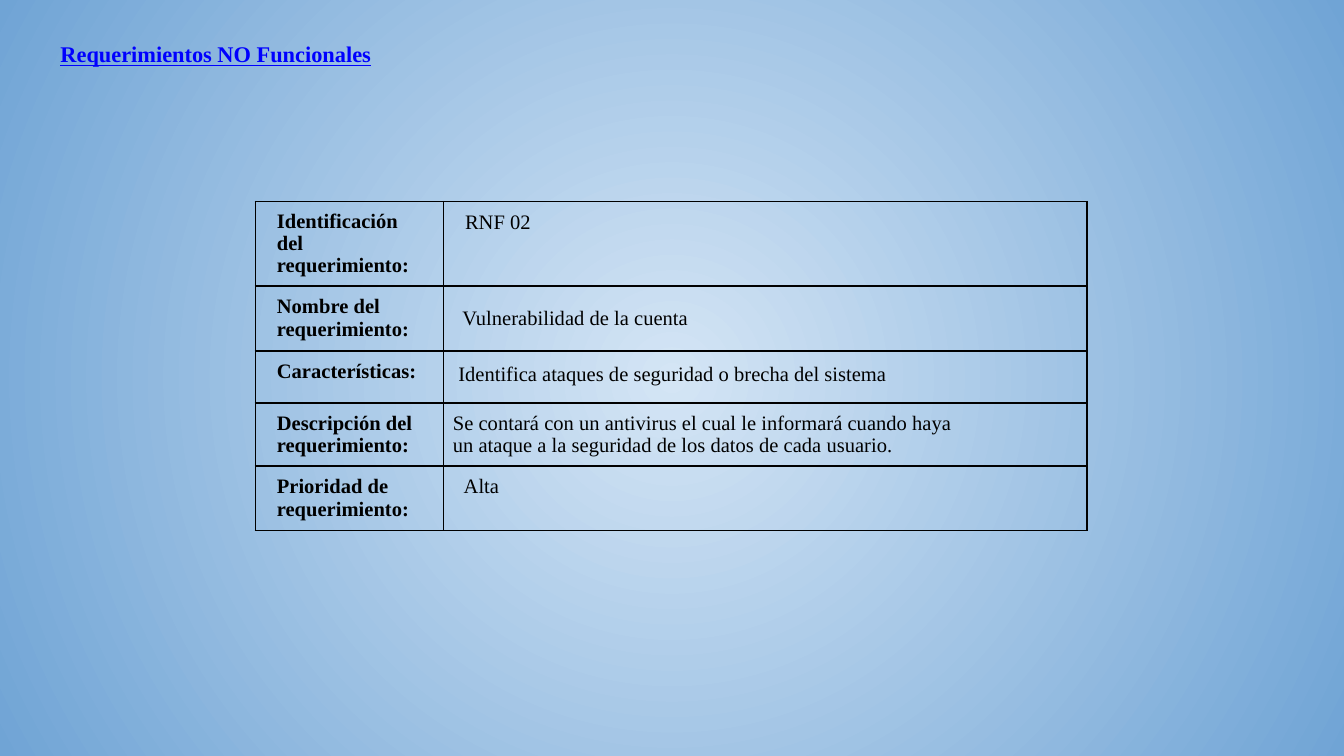
import pptx
import pptx.dml.color
import pptx.enum.text
import pptx.oxml
import pptx.oxml.ns
import pptx.util
from pptx.util import Inches

COLORS = {"center": "D4E5F5", "edge": "70A4D5", "title": "0000FF", "ink": "000000"}
FONT = "Times New Roman"
TOP = pptx.enum.text.MSO_ANCHOR.TOP
MIDDLE = pptx.enum.text.MSO_ANCHOR.MIDDLE
PADDING = 0.07
COLUMN_WIDTHS = [1.4, 4.79]

# Least row height, then label and value as (text, indent, line spacing, anchor, extra right margin)
REQUIREMENT = [
    (0.6, ("Identificación del\nrequerimiento:", 0.09, 0.96, TOP, 0.1),
     ("RNF 02", 0.09, 1, TOP, 0)),
    (0.39, ("Nombre del\nrequerimiento:", 0.09, 1, TOP, 0),
     ("Vulnerabilidad de la cuenta", 0.07, 1, MIDDLE, 0)),
    (0.39, ("Características:", 0.09, 1, TOP, 0),
     ("Identifica ataques de seguridad o brecha del sistema", 0.04, 1.15, TOP, 0)),
    (0.39, ("Descripción del requerimiento:", 0.09, 0.96, TOP, 0),
     ("Se contará con un antivirus el cual le informará cuando haya "
      "un ataque a la seguridad de los datos de cada usuario.", 0, 0.96, MIDDLE, 0.85)),
    (0.39, ("Prioridad de\nrequerimiento:", 0.09, 1, TOP, 0),
     ("Alta", 0.08, 1, TOP, 0)),
]


def parse_drawing(xml):
    """Parse a DrawingML fragment whose root has room for a namespace."""
    root, rest = xml.split(" ", 1)
    return pptx.oxml.parse_xml(f"{root} {pptx.oxml.ns.nsdecls('a')} {rest}")


def paint_background(slide):
    """Radial gradient, light in the middle of the slide."""
    slide.background.fill.solid()
    solid = slide.background.fill._xPr.find(pptx.oxml.ns.qn("a:solidFill"))
    gradient = parse_drawing(
        '<a:gradFill rotWithShape="1"><a:gsLst>'
        f'<a:gs pos="0"><a:srgbClr val="{COLORS["center"]}"/></a:gs>'
        f'<a:gs pos="100000"><a:srgbClr val="{COLORS["edge"]}"/></a:gs></a:gsLst>'
        '<a:path path="circle"><a:fillToRect l="50000" t="50000" r="50000" b="50000"/>'
        '</a:path></a:gradFill>')
    solid.getparent().replace(solid, gradient)


def format_runs(paragraph, size, color, bold, underline=False):
    for run in paragraph.runs:
        run.font.name = FONT
        run.font.size = pptx.util.Pt(size)
        run.font.bold = bold
        run.font.underline = underline
        run.font.color.rgb = pptx.dml.color.RGBColor.from_string(COLORS[color])


def place_title(slide, left, top, width, height):
    title = slide.shapes.title
    title.left, title.top = Inches(left), Inches(top)
    title.width, title.height = Inches(width), Inches(height)
    frame = title.text_frame
    frame.text = "Requerimientos NO Funcionales"
    frame.vertical_anchor = TOP
    frame.auto_size = pptx.enum.text.MSO_AUTO_SIZE.NONE
    frame.margin_left = frame.margin_right = Inches(0.11)
    frame.margin_top = frame.margin_bottom = Inches(0.1)
    frame.paragraphs[0].alignment = pptx.enum.text.PP_ALIGN.LEFT
    format_runs(frame.paragraphs[0], 12, "title", bold=True, underline=True)


def draw_borders(cell):
    properties = cell._tc.get_or_add_tcPr()
    for position, side in enumerate(("lnL", "lnR", "lnT", "lnB")):
        properties.insert(position, parse_drawing(
            f'<a:{side} w="12700"><a:solidFill><a:srgbClr val="{COLORS["ink"]}"/>'
            f'</a:solidFill><a:prstDash val="solid"/></a:{side}>'))


def fill_cell(cell, content, bold):
    text, indent, spacing, anchor, extra_right = content
    cell.fill.background()
    draw_borders(cell)
    cell.vertical_anchor = anchor
    cell.margin_left = Inches(PADDING + indent)
    cell.margin_right = Inches(PADDING + extra_right)
    cell.margin_top = cell.margin_bottom = Inches(PADDING)
    cell.text_frame.text = text
    for paragraph in cell.text_frame.paragraphs:
        paragraph.line_spacing = float(spacing)
        format_runs(paragraph, 11, "ink", bold)


def place_requirement(slide, left, top):
    heights = [row[0] for row in REQUIREMENT]
    table = slide.shapes.add_table(
        len(REQUIREMENT), len(COLUMN_WIDTHS), Inches(left), Inches(top),
        Inches(sum(COLUMN_WIDTHS)), Inches(sum(heights))).table
    table.first_row = table.horz_banding = False
    for column, width in zip(table.columns, COLUMN_WIDTHS):
        column.width = Inches(width)
    for row, (height, label, value) in zip(table.rows, REQUIREMENT):
        row.height = Inches(height)
        fill_cell(row.cells[0], label, bold=True)
        fill_cell(row.cells[1], value, bold=False)


def main():
    deck = pptx.Presentation()
    deck.slide_width = Inches(10)
    deck.slide_height = deck.slide_width * 9 // 16
    slide = deck.slides.add_slide(deck.slide_layouts[5])
    paint_background(slide)
    place_title(slide, 0.34, 0.2, 9.32, 0.63)
    place_requirement(slide, 1.9, 1.5)
    deck.save("out.pptx")


if __name__ == "__main__":
    main()
